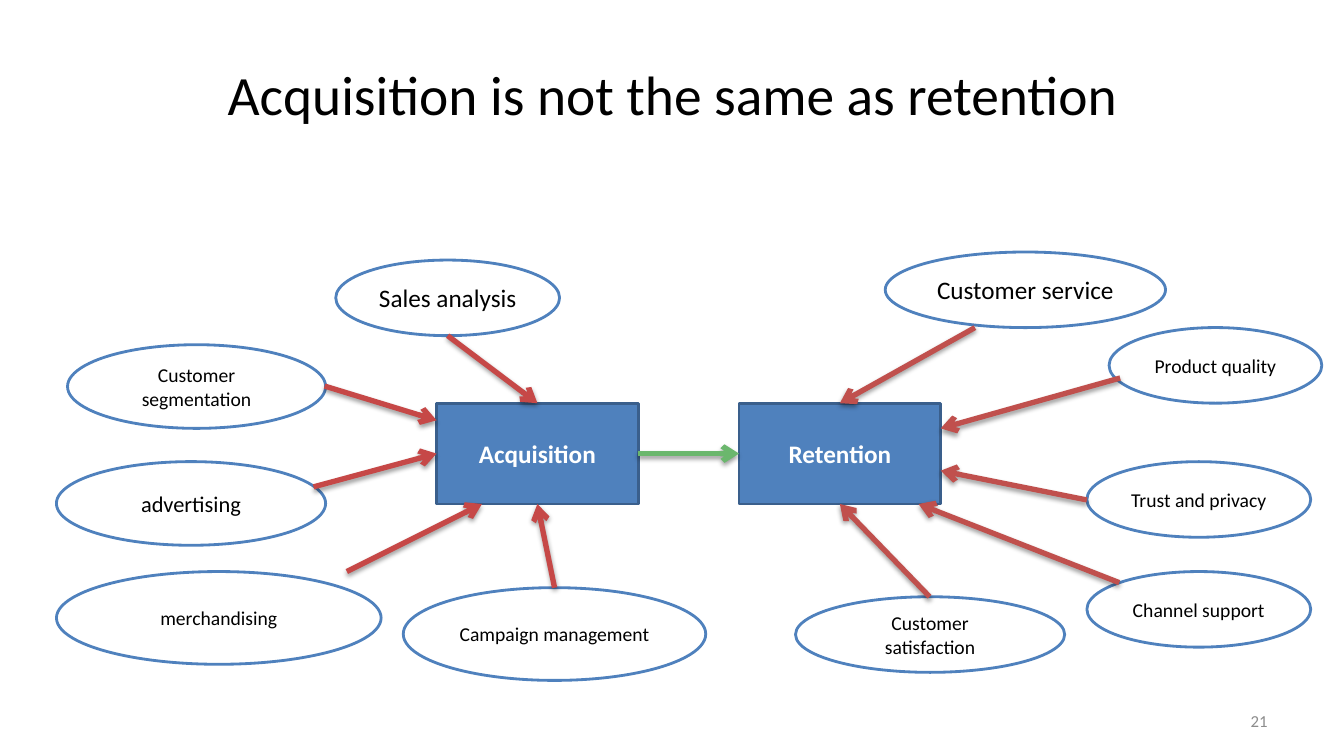
from typing import NamedTuple, Optional

from lxml.etree import SubElement
from pptx import Presentation
from pptx.dml.color import RGBColor
from pptx.enum.shapes import MSO_CONNECTOR as Connector, MSO_SHAPE as Preset
from pptx.enum.text import MSO_ANCHOR as Anchor, PP_ALIGN as Align
from pptx.oxml.ns import qn
from pptx.util import Pt

PX = 9144  # EMU per px, 100 px to the inch
TOP, LEFT, BOTTOM, RIGHT = range(4)
COLORS = {
    "blue": "4F81BD", "edge": "3A5F8C", "white": "FFFFFF", "black": "000000",
    "red": "C64847", "brick": "C0504D", "green": "6BB76D", "grey": "8C8C8C",
}


class Node(NamedTuple):
    label: str
    left: int
    top: int
    width: int
    height: int
    size: int


class Arrow(NamedTuple):
    start: tuple[int, int]
    end: tuple[int, int]
    target: str
    color: str
    side: Optional[int] = None  # joined side of the target, if at its middle


STAGES = [
    Node("Acquisition", 433, 400, 200, 100, 18),
    Node("Retention", 733, 400, 200, 100, 18),
]
FACTORS = [
    Node("Sales analysis", 333, 258, 222, 75, 18),
    Node("merchandising", 56, 567, 322, 92, 14),
    Node("advertising", 56, 458, 267, 83, 16),
    Node("Customer segmentation", 67, 342, 256, 83, 14),
    Node("Campaign management", 400, 583, 300, 92, 14),
    Node("Channel support", 1078, 567, 222, 75, 14),
    Node("Trust and privacy", 1078, 458, 222, 75, 14),
    Node("Product quality", 1100, 325, 211, 75, 14),
    Node("Customer service", 878, 250, 278, 75, 18),
    Node("Customer satisfaction", 789, 592, 267, 75, 14),
]
ARROWS = [
    Arrow((444, 333), (533, 400), "Acquisition", "red", TOP),
    Arrow((311, 483), (433, 450), "Acquisition", "red", LEFT),
    Arrow((322, 383), (433, 417), "Acquisition", "red"),
    Arrow((344, 567), (478, 500), "Acquisition", "red"),
    Arrow((550, 583), (533, 500), "Acquisition", "red", BOTTOM),
    Arrow((967, 325), (833, 400), "Retention", "brick", TOP),
    Arrow((1111, 375), (933, 425), "Retention", "brick"),
    Arrow((1078, 496), (933, 467), "Retention", "brick"),
    Arrow((1110, 578), (911, 500), "Retention", "brick"),
    Arrow((922, 592), (833, 500), "Retention", "brick", BOTTOM),
    Arrow((633, 450), (733, 450), "Retention", "green", LEFT),
]


def rgb(name: str) -> RGBColor:
    return RGBColor.from_string(COLORS[name])


def write(shape, text: str, size: float, color: str,
          align=Align.CENTER, bold: bool = False) -> None:
    frame = shape.text_frame
    frame.text = text
    frame.word_wrap = True
    frame.vertical_anchor = Anchor.MIDDLE
    para = frame.paragraphs[0]
    para.alignment = align
    font = para.runs[0].font
    font.name, font.size, font.bold = "Calibri", Pt(size), bold
    font.color.rgb = rgb(color)


def draw_node(page, node: Node, preset, fill: str, line: str, color: str, bold: bool):
    shape = page.shapes.add_shape(preset, *(value * PX for value in node[1:5]))
    shape.shadow.inherit = False
    shape.fill.solid()
    shape.fill.fore_color.rgb = rgb(fill)
    shape.line.color.rgb = rgb(line)
    shape.line.width = Pt(2)
    write(shape, node.label, node.size, color, bold=bold)
    return shape


def draw_arrow(page, arrow: Arrow, stages: dict):
    ends = (value * PX for value in arrow.start + arrow.end)
    connector = page.shapes.add_connector(Connector.STRAIGHT, *ends)
    connector.line.color.rgb = rgb(arrow.color)
    connector.line.width = Pt(3.8)
    if arrow.side is not None:
        connector.end_connect(stages[arrow.target], arrow.side)

    # Open arrowhead and soft shadow below the line
    properties = connector._element.spPr
    SubElement(properties.find(qn("a:ln")), qn("a:tailEnd"), type="arrow")
    effects = SubElement(properties, qn("a:effectLst"))
    shadow = SubElement(effects, qn("a:outerShdw"), blurRad=str(Pt(3.5)),
                        dist=str(Pt(2)), dir="5400000", rotWithShape="0")
    tint = SubElement(shadow, qn("a:srgbClr"), val=COLORS["black"])
    SubElement(tint, qn("a:alpha"), val="38000")
    return connector


def main() -> None:
    deck = Presentation()
    deck.slide_width, deck.slide_height = 1333 * PX, 750 * PX
    page = deck.slides.add_slide(deck.slide_layouts[5])

    # Title
    title = page.shapes.title
    title.left, title.top, title.width, title.height = (
        value * PX for value in (67, 30, 1200, 125))
    write(title, "Acquisition is not the same as retention", 39.6, "black")

    # Stages and the factors around them
    stages = {
        node.label: draw_node(page, node, Preset.RECTANGLE, "blue", "edge", "white", True)
        for node in STAGES
    }
    for node in FACTORS:
        draw_node(page, node, Preset.OVAL, "white", "blue", "black", False)

    # Arrows; the last one links the two stages
    connectors = [draw_arrow(page, arrow, stages) for arrow in ARROWS]
    connectors[-1].begin_connect(stages["Acquisition"], RIGHT)

    # Page number
    box = page.shapes.add_textbox(*(value * PX for value in (956, 695, 311, 40)))
    write(box, "21", 12, "grey", Align.RIGHT)

    deck.save("out.pptx")


if __name__ == "__main__":
    main()
